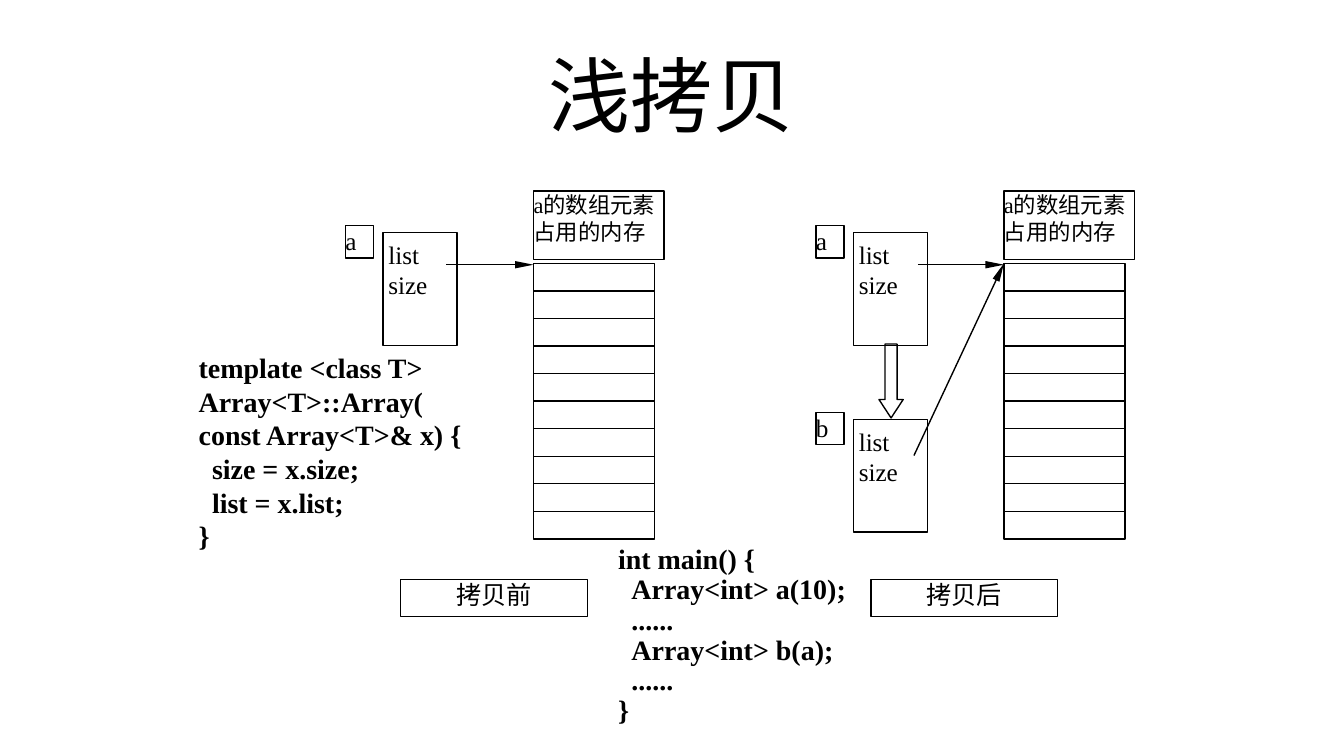
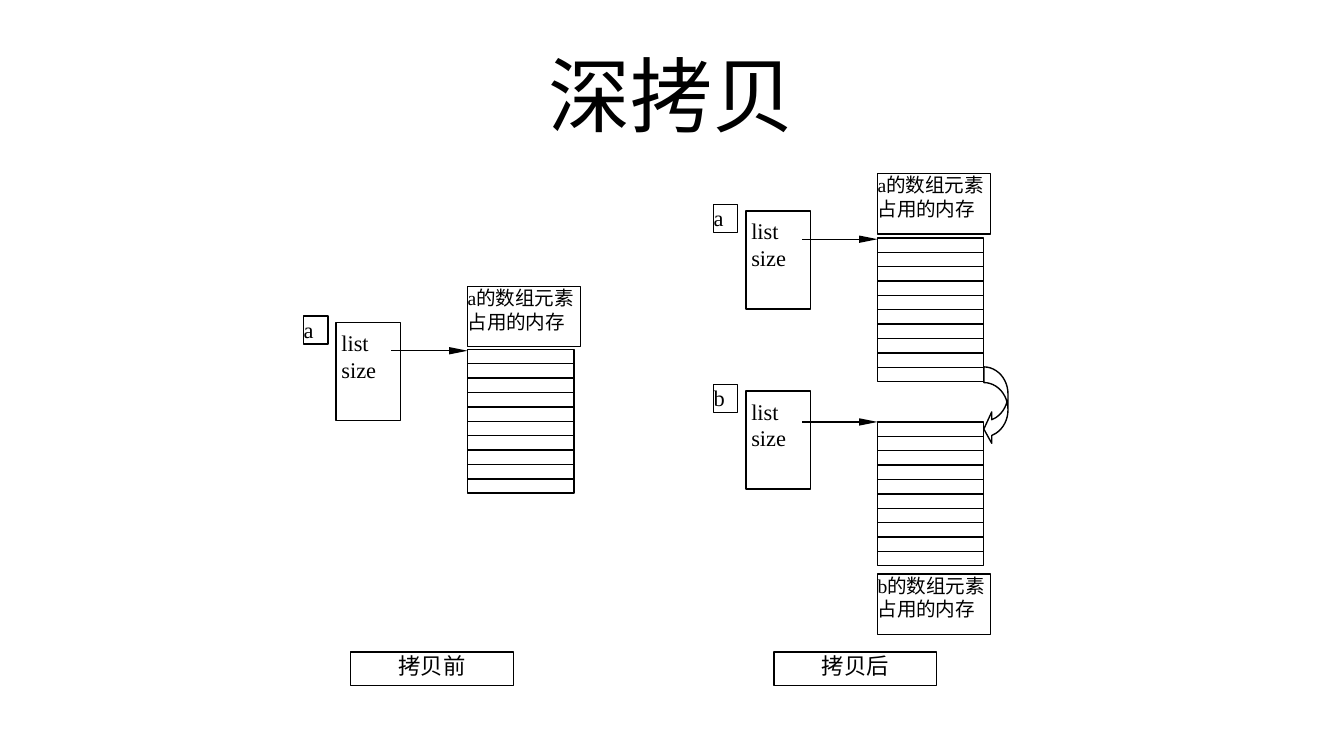
from lxml import etree
from pptx import Presentation, util as u
from pptx.dml.color import RGBColor
from pptx.enum import shapes, text
from pptx.oxml.ns import qn

BLACK = "000000"
SERIF = "Times New Roman"
LINE_WIDTH = u.Pt(0.75)
CODE_INDENT = 0.1
ROWS = 10
LEFT, CENTER, JUSTIFY = text.PP_ALIGN.LEFT, text.PP_ALIGN.CENTER, text.PP_ALIGN.JUSTIFY
TOP, MIDDLE = text.MSO_ANCHOR.TOP, text.MSO_ANCHOR.MIDDLE
RECTANGLE = shapes.MSO_SHAPE.RECTANGLE

# nodes: name, x, y; memories: owner, x, y, label y; arrows: start and end
SLIDES = [
    {
        "title": "浅拷贝", "title_font": "Calibri", "size": 13.5, "label_size": 12,
        "node": (0.55, 0.84), "tag": (0.21, 0.24), "tag_offset": (-0.28, -0.05),
        "memory": (0.9, 2.05), "label": (0.97, 0.51), "caption": (1.39, 0.28),
        "nodes": [("a", 2.85, 1.73), ("a", 6.35, 1.73), ("b", 6.35, 3.12)],
        "memories": [("a", 3.97, 1.96, 1.42), ("a", 7.47, 1.96, 1.42)],
        "arrows": [(3.32, 1.97, 3.97, 1.97), (6.83, 1.97, 7.47, 1.97),
                   (6.8, 3.39, 7.47, 1.96)],
        "captions": [("拷贝前", 2.98, 4.31), ("拷贝后", 6.48, 4.31)],
        "copy_arrow": (shapes.MSO_SHAPE.DOWN_ARROW, (6.54, 2.56, 0.18, 0.55), [0.5, 0.76]),
        "codes": [
            ((4.5, 4.01, 2.38, 1.46), 0.9,
             ["int main() {", "\tArray<int> a(10);", "\t......",
              "\tArray<int> b(a);", "\t......", "}"]),
            ((1.38, 2.56, 2.34, 1.62), 1.0,
             ["template <class T>", "Array<T>::Array(", "const Array<T>& x) {",
              "\tsize = x.size;", "\tlist = x.list;", "}"]),
        ],
    },
    {
        "title": "深拷贝", "title_font": SERIF, "size": 12, "label_size": 10.5,
        "node": (0.48, 0.73), "tag": (0.18, 0.21), "tag_offset": (-0.24, -0.05),
        "memory": (0.79, 1.07), "label": (0.84, 0.45), "caption": (1.21, 0.25),
        "nodes": [("a", 2.5, 2.4), ("a", 5.55, 1.57), ("b", 5.55, 2.91)],
        "memories": [("a", 3.48, 2.6, 2.13), ("a", 6.53, 1.77, 1.29),
                     ("b", 6.53, 3.14, 4.27)],
        "arrows": [(2.91, 2.61, 3.48, 2.61), (5.97, 1.78, 6.53, 1.78),
                   (5.97, 3.14, 6.53, 3.14)],
        "captions": [("拷贝前", 2.61, 4.85), ("拷贝后", 5.76, 4.85)],
        "copy_arrow": (shapes.MSO_SHAPE.CURVED_LEFT_ARROW, (7.32, 2.73, 0.18, 0.58),
                       [0.65, 1.3, 0.33]),
        "codes": [],
    },
]


def add_box(page, at, lines=(), size=12, font=SERIF, bold=False, align=JUSTIFY,
            anchor=TOP, insets=(0, 0, 0, 0), spacing=1.0, kind=RECTANGLE):
    """Add an outlined shape, or a text box if kind is None; a tab indents a line."""
    place = [u.Inches(value) for value in at]
    if kind is None:
        box = page.shapes.add_textbox(*place)
    else:
        box = page.shapes.add_shape(kind, *place)
        box.shadow.inherit = False
        box.fill.background()
        box.line.color.rgb = RGBColor.from_string(BLACK)
        box.line.width = LINE_WIDTH
    frame = box.text_frame
    frame.word_wrap = True
    frame.vertical_anchor = anchor
    for side, inset in zip(("left", "top", "right", "bottom"), insets):
        setattr(frame, f"margin_{side}", u.Inches(inset))
    for number, line in enumerate(lines):
        para = frame.add_paragraph() if number else frame.paragraphs[0]
        para.alignment = align
        para.line_spacing = spacing
        if line.startswith("\t"):
            para._p.get_or_add_pPr().set("marL", str(u.Inches(CODE_INDENT)))
        span = para.add_run()
        span.text = line.strip()
        for name, value in {"name": font, "size": u.Pt(size), "bold": bold}.items():
            setattr(span.font, name, value)
        span.font.color.rgb = RGBColor.from_string(BLACK)
    return box


def add_line(page, ends, arrow=False):
    line = page.shapes.add_connector(
        shapes.MSO_CONNECTOR.STRAIGHT, *[u.Inches(value) for value in ends])
    line.line.color.rgb = RGBColor.from_string(BLACK)
    line.line.width = LINE_WIDTH
    if arrow:
        etree.SubElement(line.line._get_or_add_ln(), qn("a:tailEnd"),
                         type="triangle", w="sm", len="lg")
    etree.SubElement(line._element.spPr, qn("a:effectLst"))


deck = Presentation()
deck.slide_width = u.Inches(10)
deck.slide_height = deck.slide_width * 9 // 16

for item in SLIDES:
    page = deck.slides.add_slide(deck.slide_layouts[6])
    add_box(page, (0.5, 0.23, 9, 0.94), [item["title"]], 44, item["title_font"],
            align=CENTER, anchor=MIDDLE, insets=(0.08, 0.04, 0.08, 0.04), kind=None)

    for name, x, y in item["nodes"]:
        add_box(page, (x, y, *item["node"]), ["list", "size"], item["size"],
                insets=(0.04, 0.05, 0, 0.05))
        shift_x, shift_y = item["tag_offset"]
        add_box(page, (x + shift_x, y + shift_y, *item["tag"]), [name], item["size"])

    width, height = item["memory"]
    for owner, x, y, label_y in item["memories"]:
        add_box(page, (x, y, width, height))
        for row in range(1, ROWS):
            row_y = y + row * height / ROWS
            add_line(page, (x, row_y, x + width, row_y))
        add_box(page, (x, label_y, *item["label"]),
                [f"{owner}的数组元素", "占用的内存"], item["label_size"])

    for ends in item["arrows"]:
        add_line(page, ends, arrow=True)

    for caption, x, y in item["captions"]:
        add_box(page, (x, y, *item["caption"]), [caption], item["size"],
                align=CENTER, insets=(0.1, 0, 0.1, 0))

    kind, at, adjustments = item["copy_arrow"]
    copy_arrow = add_box(page, at, kind=kind)
    for number, value in enumerate(adjustments):
        copy_arrow.adjustments[number] = value

    for at, spacing, lines in item["codes"]:
        add_box(page, at, lines, 15, bold=True, align=LEFT,
                insets=(0.1, 0.05, 0.1, 0.05), spacing=spacing, kind=None)

deck.save("out.pptx")
